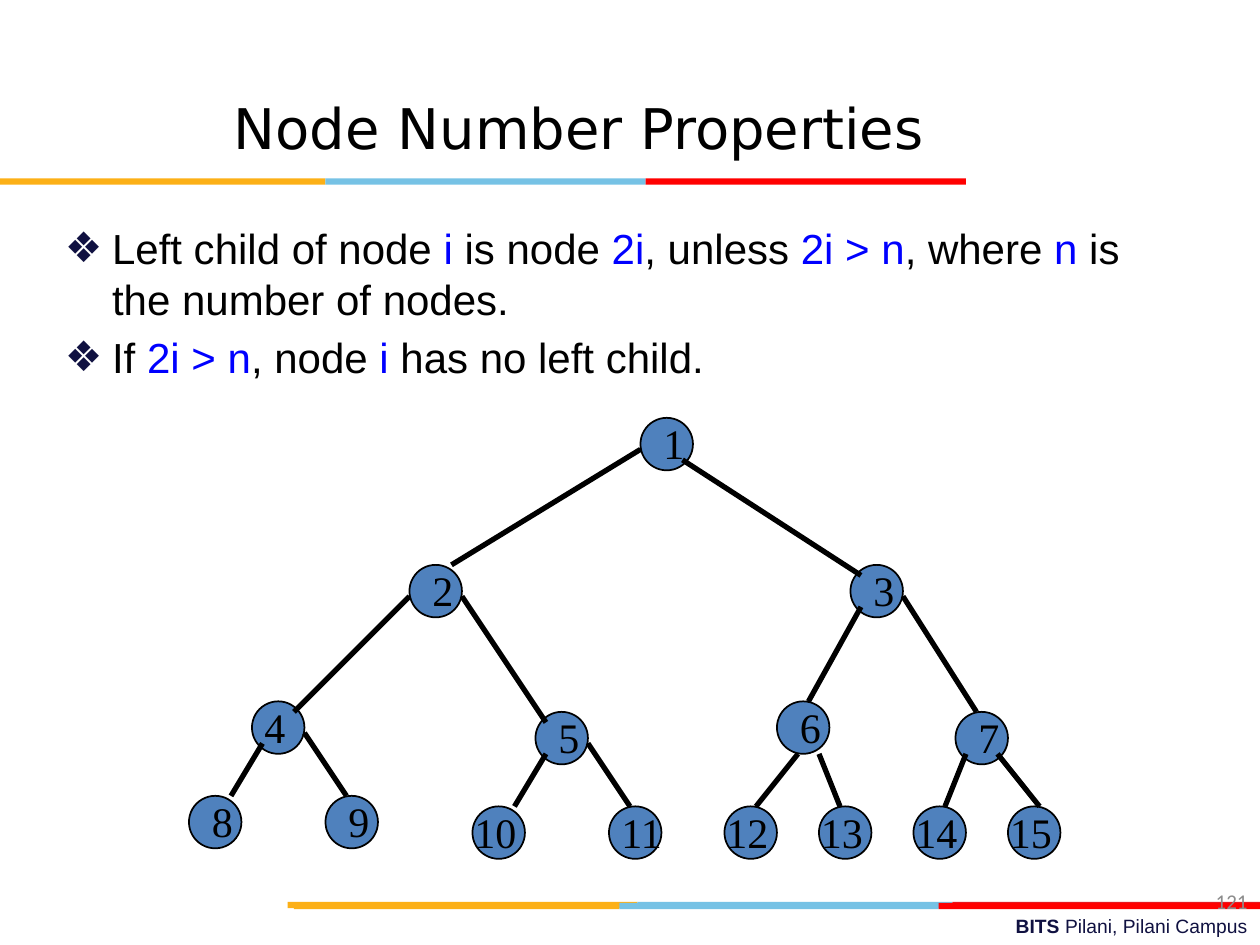
from lxml import etree
from pptx import Presentation
from pptx.dml.color import RGBColor
from pptx.enum.shapes import MSO_CONNECTOR, MSO_SHAPE
from pptx.enum.text import MSO_ANCHOR, PP_ALIGN
from pptx.oxml.ns import qn
from pptx.util import Pt

PX = 7620  # 120 px to the inch
BLACK, BLUE, NAVY = "000000", "0000FF", "101141"
GOLD, SKY, RED, CRIMSON = "FCB017", "76C2E5", "FF0000", "E31C24"
SIZE = 50  # node diameter

# number: place of the node, line start from the parent, line end from the node
NODES = {
    1: ((430, 0), None, None),
    2: ((210, 140), (0, 30), (40, 0)),
    3: ((630, 140), (40, 40), (10, 10)),
    4: ((60, 270), (0, 30), (40, 10)),
    5: ((330, 280), (50, 30), (10, 10)),
    6: ((560, 270), (10, 40), (30, 0)),
    7: ((730, 280), (50, 30), (20, 0)),
    8: ((0, 360), (10, 40), (40, 0)),
    9: ((130, 360), (50, 30), (20, 0)),
    10: ((270, 370), (10, 40), (40, 0)),
    11: ((400, 370), (50, 30), (20, 0)),
    12: ((510, 370), (20, 50), (30, 0)),
    13: ((600, 370), (40, 50), (20, 0)),
    14: ((690, 370), (10, 40), (30, 0)),
    15: ((780, 370), (40, 40), (30, 0)),
}

# Runs alternate between black and blue
RULES = [
    ["Left child of node ", "i ", "is node ", "2i", ", unless ", "2i > n",
     ", where ", "n", " is the number of nodes."],
    ["If ", "2i > n", ", node ", "i", " has no left child."],
]


def emu(*nums):
    return [round(n * PX) for n in nums]


def paint(obj, color):
    if hasattr(obj, "solid"):
        obj.solid()
        obj.fore_color.rgb = RGBColor.from_string(color)
    else:
        obj.color.rgb = RGBColor.from_string(color)


def style(run, size, face, color, bold=False):
    font = run.font
    font.size, font.name, font.bold = Pt(size), face, bold
    paint(font, color)


def shape(slide, kind, box, color):
    item = slide.shapes.add_shape(kind, *emu(*box))
    item.shadow.inherit = False
    paint(item.fill, color)
    item.line.fill.background()
    return item


def label(slide, box, align=PP_ALIGN.LEFT, anchor=MSO_ANCHOR.TOP, top=6):
    frame = slide.shapes.add_textbox(*emu(*box)).text_frame
    frame.word_wrap = True
    frame.vertical_anchor = anchor
    frame.margin_top, = emu(top)
    frame.paragraphs[0].alignment = align
    return frame


def write(frame, text, size, face, color):
    para = frame.paragraphs[0]
    para.text = text
    style(para.runs[0], size, face, color)


def bars(slide, left, top, parts):
    for wide, color in parts:
        shape(slide, MSO_SHAPE.RECTANGLE, (left, top, wide, 6), color)
        left += wide


def bullet(para):
    props = para._p.get_or_add_pPr()
    indent, = emu(45)
    props.set("marL", str(indent))
    props.set("indent", str(-indent))
    tint = etree.SubElement(props, qn("a:buClr"))
    etree.SubElement(tint, qn("a:srgbClr")).set("val", NAVY)
    etree.SubElement(props, qn("a:buFont")).set("typeface", "Arial")
    etree.SubElement(props, qn("a:buChar")).set("char", "❖")


def header(slide, x, y):
    bars(slide, x, y + 109, [(310, GOLD), (305, SKY), (305, RED)])
    frame = label(slide, (x + 50, y, 1020, 120), PP_ALIGN.CENTER,
                  MSO_ANCHOR.MIDDLE)
    write(frame, "Node Number Properties ", 32, "DejaVu Sans", BLACK)


def body(slide, box):
    frame = label(slide, box, top=8)
    for num, parts in enumerate(RULES):
        para = frame.add_paragraph() if num else frame.paragraphs[0]
        if num:
            para.space_before = Pt(4.8)
        bullet(para)
        for spot, text in enumerate(parts):
            run = para.add_run()
            run.text = text
            style(run, 24, "Arial", BLUE if spot % 2 else BLACK)


def tree(slide, x, y):
    # Circles
    for (dx, dy), _, _ in NODES.values():
        dot = shape(slide, MSO_SHAPE.OVAL, (x + dx, y + dy, SIZE, SIZE),
                    "4F81BD")
        paint(dot.line, BLACK)
        dot.line.width = Pt(1)
    # Lines from parent to child
    for num, ((dx, dy), start, end) in NODES.items():
        if not start:
            continue
        px, py = NODES[num // 2][0]
        ends = emu(x + px + start[0], y + py + start[1],
                   x + dx + end[0], y + dy + end[1])
        edge = slide.shapes.add_connector(MSO_CONNECTOR.STRAIGHT, *ends)
        paint(edge.line, BLACK)
        edge.line.width = Pt(3)
        etree.SubElement(edge._element.spPr, qn("a:effectLst"))
    # Numbers
    for num, ((dx, dy), _, _) in NODES.items():
        shift = 0 if num in (4, 11) else 10 if num < 10 else -10
        wide = 40 if num < 10 else 80
        frame = label(slide, (x + dx + shift, y + dy - 10, wide, 60), top=10)
        write(frame, str(num), 24, "Times New Roman", BLACK)


def footer(slide, x, y):
    bars(slide, x, y, [(333, GOLD), (300, SKY), (293, CRIMSON)])
    bars(slide, x + 6, y + 1, [(310, GOLD), (304, SKY), (306, RED)])
    frame = label(slide, (x + 156, y + 6, 770, 35), PP_ALIGN.RIGHT)
    for text, bold in (("BITS ", True), ("Pilani, Pilani Campus", False)):
        run = frame.paragraphs[0].add_run()
        run.text = text
        style(run, 11, "Arial", NAVY, bold)
    # Slide number
    frame = label(slide, (x + 646, y - 25, 280, 48), PP_ALIGN.RIGHT,
                  MSO_ANCHOR.MIDDLE)
    write(frame, "121", 12, "Calibri", "8C8C8C")


def main():
    deck = Presentation()
    deck.slide_width, deck.slide_height = emu(1200, 900)
    slide = deck.slides.add_slide(deck.slide_layouts[6])
    footer(slide, 274, 859)
    header(slide, 0, 61)
    body(slide, (50, 204, 1080, 594))
    tree(slide, 180, 398)
    deck.save("out.pptx")


if __name__ == "__main__":
    main()
